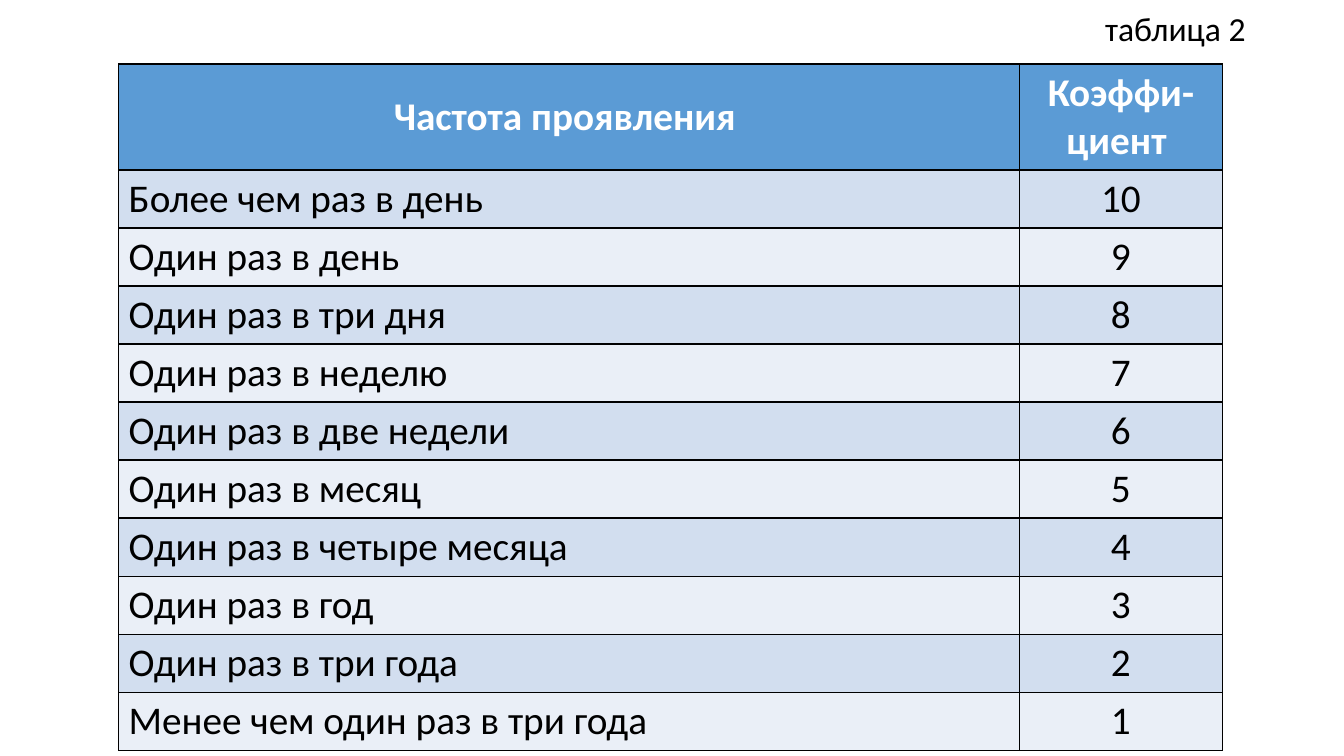
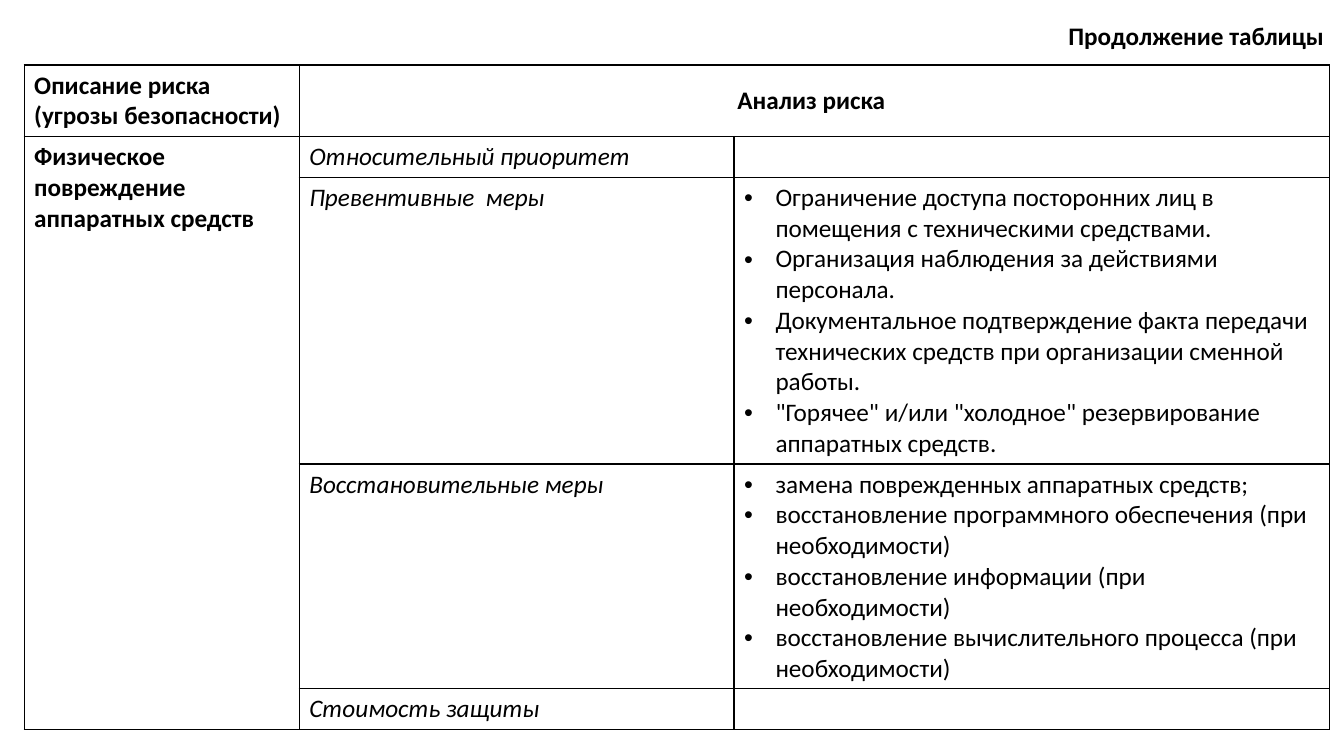
from lxml.etree import SubElement
from pptx import Presentation
from pptx.dml.color import RGBColor
from pptx.enum.text import MSO_ANCHOR as Anchor, MSO_AUTO_SIZE as AutoSize, PP_ALIGN as Align
from pptx.oxml import parse_xml
from pptx.oxml.ns import nsdecls, qn
from pptx.util import Pt

PX = 9525
FONT = "Calibri"
COLORS = {"text": "000000", "head_text": "FFFFFF", "border": "000000",
          "head": "5B9BD5", "odd": "D2DEEF", "even": "EAEFF7"}
BULLET_INDENT = 30

FREQUENCY_CAPTION = "таблица 2"
FREQUENCY_HEAD = ("Частота проявления ", "Коэффи-циент ")
FREQUENCIES = [
    "Более чем раз в день",
    "Один раз в день",
    "Один раз в три дня",
    "Один раз в неделю",
    "Один раз в две недели",
    "Один раз в месяц",
    "Один раз в четыре месяца",
    "Один раз в год",
    "Один раз в три года",
    "Менее чем один раз в три года",
]

RISK_CAPTION = "Продолжение таблицы"
RISK_HEAD = (["Описание риска", "(угрозы безопасности)"], ["Анализ риска "])
RISK_NAME = "Физическое повреждение аппаратных средств"
RISK_ANALYSIS = [
    ("Относительный приоритет", []),
    ("Превентивные  меры", [
        "Ограничение доступа посторонних лиц в помещения с техническими средствами.",
        "Организация наблюдения за действиями персонала.",
        "Документальное подтверждение факта передачи технических средств "
        "при организации сменной работы.",
        "\"Горячее\" и/или \"холодное\" резервирование аппаратных средств.",
    ]),
    ("Восстановительные меры", [
        "замена поврежденных аппаратных средств;",
        "восстановление программного обеспечения (при необходимости)",
        "восстановление информации (при необходимости)",
        "восстановление вычислительного процесса (при необходимости)",
    ]),
    ("Стоимость защиты", []),
]


def color(name):
    return RGBColor.from_string(COLORS[name])


def add_bullet(para):
    props = para._p.get_or_add_pPr()
    props.set("marL", str(BULLET_INDENT * PX))
    props.set("indent", str(-BULLET_INDENT * PX))
    SubElement(props, qn("a:buFont")).set("typeface", "Arial")
    SubElement(props, qn("a:buChar")).set("char", "•")


def write(frame, lines, size, bold=False, italic=False, ink="text",
          align=Align.LEFT, bullets=False):
    frame.text = "\n".join(lines)
    for para in frame.paragraphs:
        para.alignment = align
        if bullets:
            add_bullet(para)
        for span in para.runs:
            font = span.font
            font.name, font.size = FONT, Pt(size)
            font.bold, font.italic = bold, italic
            font.color.rgb = color(ink)


def add_caption(page, text, left, top, width, height, size, bold=False):
    box = page.shapes.add_textbox(left * PX, top * PX, width * PX, height * PX)
    frame = box.text_frame
    frame.word_wrap = False
    frame.auto_size = AutoSize.SHAPE_TO_FIT_TEXT
    write(frame, [text], size, bold)


def add_borders(cell):
    props = cell._tc.get_or_add_tcPr()
    for index, side in enumerate(("lnL", "lnR", "lnT", "lnB")):
        props.insert(index, parse_xml(
            f'<a:{side} {nsdecls("a")} w="{Pt(1)}"><a:solidFill>'
            f'<a:srgbClr val="{COLORS["border"]}"/></a:solidFill></a:{side}>'))


def add_grid(page, left, top, widths, heights, fills):
    table = page.shapes.add_table(len(heights), len(widths), left * PX, top * PX,
                                  sum(widths) * PX, sum(heights) * PX).table
    table.horz_banding = False
    for column, width in zip(table.columns, widths):
        column.width = width * PX
    for row, height, fill in zip(table.rows, heights, fills):
        row.height = height * PX
        for cell in row.cells:
            if fill:
                cell.fill.solid()
                cell.fill.fore_color.rgb = color(fill)
            else:
                cell.fill.background()
            add_borders(cell)
    return table


def build_frequency(page):
    count = len(FREQUENCIES)
    fills = ["head"] + ["even" if row % 2 else "odd" for row in range(count)]
    table = add_grid(page, 113, 61, (858, 193), [100] + [55] * count, fills)
    for column, text in enumerate(FREQUENCY_HEAD):
        cell = table.cell(0, column)
        cell.vertical_anchor = Anchor.MIDDLE
        write(cell.text_frame, [text], 28, bold=True, ink="head_text", align=Align.CENTER)
    for row, text in enumerate(FREQUENCIES, 1):
        write(table.cell(row, 0).text_frame, [text], 28)
        write(table.cell(row, 1).text_frame, [str(count + 1 - row)], 28, align=Align.CENTER)
    add_caption(page, FREQUENCY_CAPTION, 1043, 3, 155, 48, 24)


def build_risk(page):
    heights = (68, 39, 273, 214, 39)
    table = add_grid(page, 23, 62, (262, 414, 567), heights, [None] * len(heights))
    table.cell(0, 1).merge(table.cell(0, 2))
    table.cell(1, 0).merge(table.cell(len(RISK_ANALYSIS), 0))
    description, analysis = RISK_HEAD
    write(table.cell(0, 0).text_frame, description, 18, bold=True)
    table.cell(0, 1).vertical_anchor = Anchor.MIDDLE
    write(table.cell(0, 1).text_frame, analysis, 18, bold=True, align=Align.CENTER)
    write(table.cell(1, 0).text_frame, [RISK_NAME], 18, bold=True)
    for row, (aspect, measures) in enumerate(RISK_ANALYSIS, 1):
        write(table.cell(row, 1).text_frame, [aspect], 18, italic=True)
        if measures:
            write(table.cell(row, 2).text_frame, measures, 18, bullets=True)
    add_caption(page, RISK_CAPTION, 1008, 15, 264, 38, 18, bold=True)


def main():
    deck = Presentation()
    deck.slide_width, deck.slide_height = 1280 * PX, 720 * PX
    for build in (build_frequency, build_risk):
        build(deck.slides.add_slide(deck.slide_layouts[6]))
    deck.save("out.pptx")


if __name__ == "__main__":
    main()
